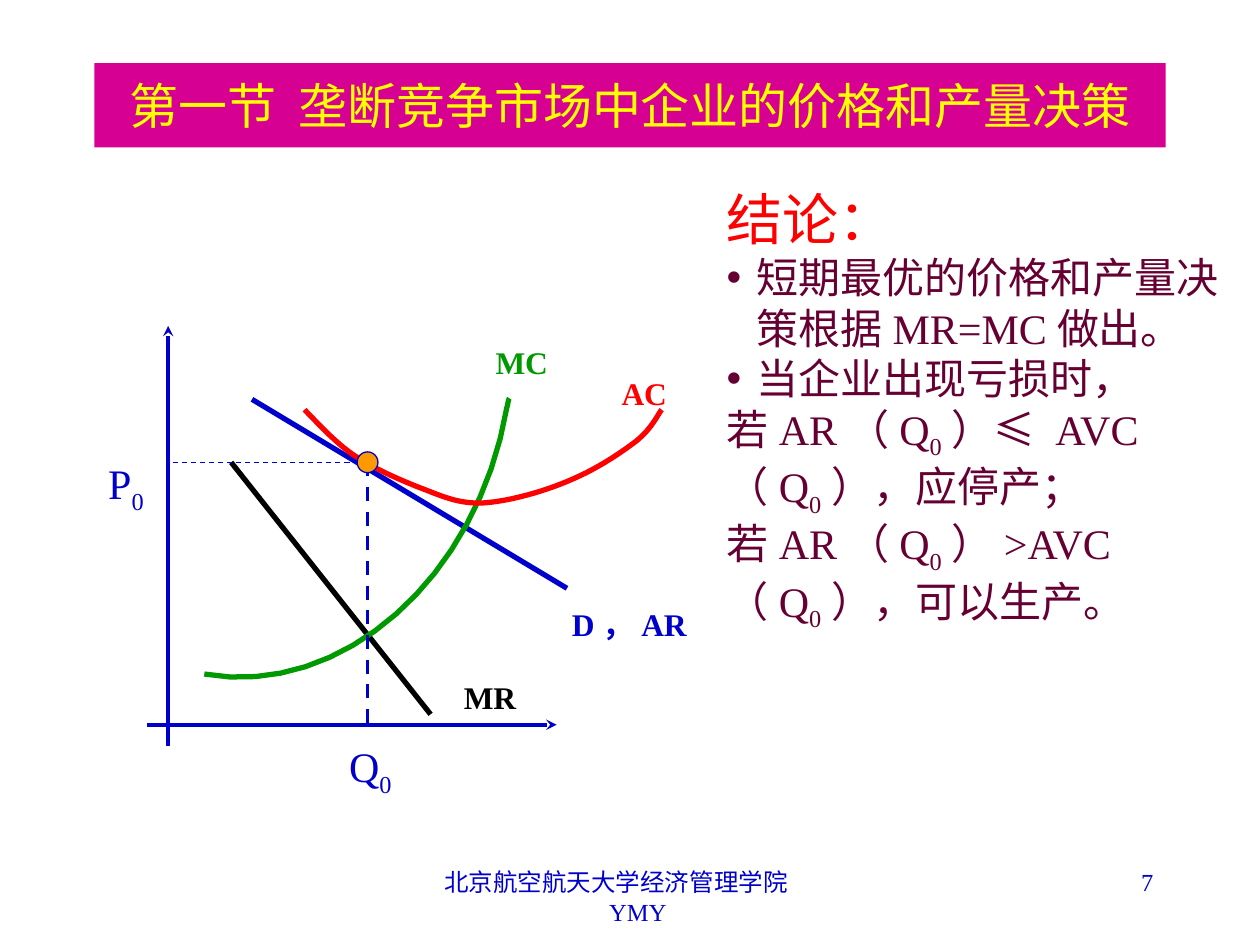
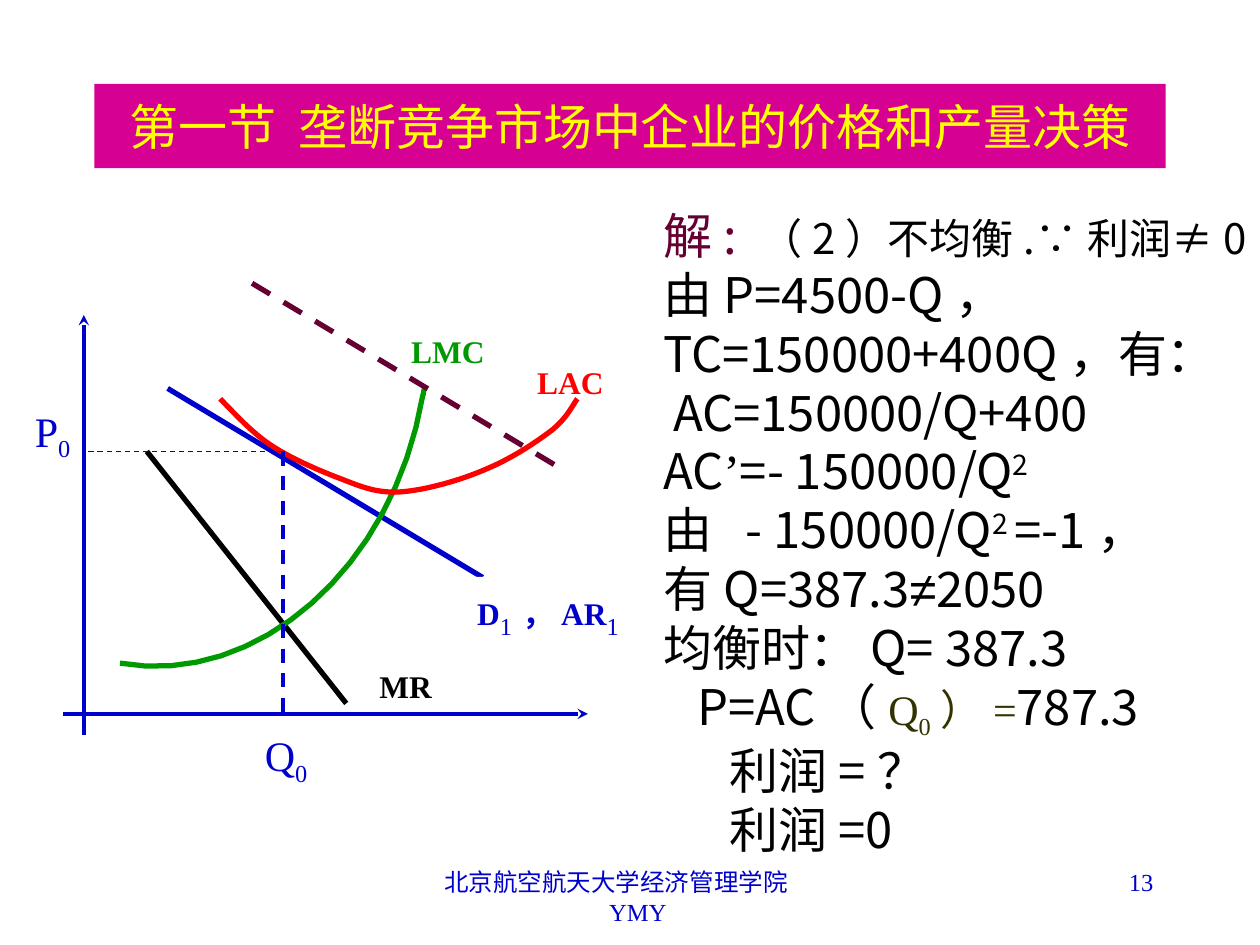
from dataclasses import dataclass

from lxml import etree
from pptx import Presentation
from pptx.dml.color import RGBColor
from pptx.enum.dml import MSO_LINE
from pptx.enum.shapes import MSO_CONNECTOR, MSO_SHAPE
from pptx.enum.text import MSO_ANCHOR, MSO_AUTO_SIZE, PP_ALIGN
from pptx.oxml.ns import qn
from pptx.util import Cm, Pt

LEFT, CENTER, RIGHT = PP_ALIGN.LEFT, PP_ALIGN.CENTER, PP_ALIGN.RIGHT
MIDDLE = MSO_ANCHOR.MIDDLE
NO_FIT = MSO_AUTO_SIZE.NONE
DASH = MSO_LINE.DASH
STRAIGHT = MSO_CONNECTOR.STRAIGHT
OVAL = MSO_SHAPE.OVAL
TITLE_ONLY = 5


@dataclass(frozen=True)
class Theme:
    serif: str = "Times New Roman"
    sans: str = "Noto Sans CJK SC"
    symbol: str = "Arial"
    band: str = "D60093"
    title: str = "FFFF00"
    blue: str = "0000CC"
    green: str = "009900"
    red: str = "FF0000"
    plum: str = "660033"
    olive: str = "333300"
    orange: str = "FF9900"
    black: str = "000000"
    white: str = "FFFFFF"
    footer_pt: int = 14
    label_pt: int = 18
    body_pt: int = 24
    title_pt: int = 28
    heading_pt: int = 32
    thin: float = 0.75
    medium: float = 2
    thick: float = 3


T = Theme()
SUB, SUP = -25, 30
TITLE = "第一节  垄断竞争市场中企业的价格和产量决策"

# Curves in cm from the crossing of the axes, height upwards:
# a start point, then three Bézier points for each segment.
MC_CURVE = [(6.88, 6.58), (6.85, 6.53), (6.85, 6.45), (6.83, 6.4),
            (6.24, 2.95), (3.5, 0.53), (0.73, 1.02)]
AC_CURVE = [(2.75, 6.35), (3.07, 6.02), (3.4, 5.66), (3.78, 5.41),
            (4.16, 5.16), (4.64, 4.95), (5.07, 4.78),
            (5.5, 4.62), (5.83, 4.45), (6.34, 4.47),
            (6.88, 4.5), (7.64, 4.72), (8.15, 4.95),
            (8.65, 5.16), (9.14, 5.49), (9.44, 5.72),
            (9.75, 5.97), (9.87, 6.25), (9.95, 6.35)]
OPTIMUM = (4.02, 5.29)


def rgb(color):
    return RGBColor.from_string(color)


def add_run(p, text, font=T.serif, size=T.body_pt, color=T.black, bold=False, base=0):
    """Add a run; base is the baseline shift in percent."""
    r = p.add_run()
    r.text = text
    r.font.name = font
    r.font.size = Pt(size)
    r.font.bold = bold
    r.font.color.rgb = rgb(color)
    rPr = r._r.get_or_add_rPr()
    if base:
        rPr.set("baseline", str(base * 1000))
    rPr.find(qn("a:latin")).addnext(
        etree.Element(qn("a:ea"), typeface=T.sans))


def add_paragraph(tf, runs, first=False, align=LEFT, indent=0, bullet=False, **fmt):
    """Add a paragraph of strings and (string, own format) pairs; indent in cm."""
    p = tf.paragraphs[0] if first else tf.add_paragraph()
    p.alignment = align
    pPr = p._p.get_or_add_pPr()
    if indent:
        pPr.set("marL", str(Cm(indent)))
    if bullet:
        pPr.set("indent", str(-Cm(indent)))
        etree.SubElement(pPr, qn("a:buFont"), typeface=T.symbol)
        etree.SubElement(pPr, qn("a:buChar"), char="•")
    for run in runs:
        text, own = (run, {}) if isinstance(run, str) else run
        add_run(p, text, **{**fmt, **own})


def add_box(s, x, y, w, h, wrap=True, fill=None):
    sp = s.shapes.add_textbox(Cm(x), Cm(y), Cm(w), Cm(h))
    sp.text_frame.word_wrap = wrap
    if fill:
        sp.fill.solid()
        sp.fill.fore_color.rgb = rgb(fill)
    return sp.text_frame


def add_title(s, y):
    sp = s.shapes.title
    sp.left, sp.top, sp.width, sp.height = Cm(1.9), Cm(y), Cm(21.6), Cm(1.7)
    sp.fill.solid()
    sp.fill.fore_color.rgb = rgb(T.band)
    tf = sp.text_frame
    tf.auto_size, tf.word_wrap, tf.vertical_anchor = NO_FIT, True, MIDDLE
    add_paragraph(tf, [TITLE], first=True, align=CENTER, size=T.title_pt, color=T.title)


def add_footer(s, number):
    fmt = dict(size=T.footer_pt, color=T.blue)
    tf = add_box(s, 8.4, 17.36, 8.04, 1.27)
    add_paragraph(tf, ["北京航空航天大学经济管理学院"], first=True, align=CENTER, **fmt)
    add_paragraph(tf, ["YMY"], align=CENTER, indent=0.88, **fmt)
    tf = add_box(s, 18.2, 17.36, 5.3, 1.27)
    add_paragraph(tf, [str(number)], first=True, align=RIGHT, **fmt)


@dataclass
class Diagram:
    """Drawing area whose points are cm from the crossing of the axes."""
    s: object
    x0: float
    y0: float

    def place(self, point):
        return Cm(self.x0 + point[0]), Cm(self.y0 - point[1])

    def line(self, start, end, color=T.blue, width=T.thick, dash=None, arrow=False):
        c = self.s.shapes.add_connector(STRAIGHT, *self.place(start), *self.place(end))
        c.line.color.rgb = rgb(color)
        c.line.width = Pt(width)
        if dash:
            c.line.dash_style = dash
        if arrow:
            etree.SubElement(c.line._get_or_add_ln(), qn("a:tailEnd"), type="stealth")
        etree.SubElement(c._element.spPr, qn("a:effectLst"))

    def curve(self, points, color):
        track = [self.place(p) for p in bezier_track(points)]
        builder = self.s.shapes.build_freeform(*track[0])
        builder.add_line_segments(track[1:], close=False)
        sp = builder.convert_to_shape()
        sp.shadow.inherit = False
        sp.fill.background()
        sp.line.color.rgb = rgb(color)
        sp.line.width = Pt(T.thick)

    def label(self, runs, point, w, h=1.02, fill=None, align=LEFT, **fmt):
        tf = add_box(self.s, self.x0 + point[0], self.y0 - point[1], w, h,
                     wrap=False, fill=fill)
        add_paragraph(tf, runs, first=True, align=align, **fmt)

    def dot(self, centre, size):
        x, y = self.place((centre[0] - size / 2, centre[1] + size / 2))
        sp = self.s.shapes.add_shape(OVAL, x, y, Cm(size), Cm(size))
        sp.shadow.inherit = False
        sp.fill.solid()
        sp.fill.fore_color.rgb = rgb(T.orange)
        sp.line.color.rgb = rgb(T.blue)
        sp.line.width = Pt(T.thin)


def bezier_track(points, steps=16):
    """Return points along the chained cubic curves."""
    track = [points[0]]
    for i in range(0, len(points) - 1, 3):
        a, b, c, d = points[i:i + 4]
        for n in range(1, steps + 1):
            t = n / steps
            u = 1 - t
            weights = (u ** 3, 3 * u * u * t, 3 * u * t * t, t ** 3)
            track.append(tuple(sum(w * p[k] for w, p in zip(weights, (a, b, c, d)))
                               for k in (0, 1)))
    return track


def add_market(s, x0, y0, x_axis, price_at, prefix=""):
    """Draw axes, curves and their labels; prefix marks the long-run costs."""
    d = Diagram(s, x0, y0)
    d.line((0, -0.42), (0, 8.04), width=T.medium, arrow=True)
    d.line((-0.42, 0), (x_axis, 0), width=T.medium, arrow=True)
    d.line((1.69, 6.56), (8.04, 2.75))
    d.line((1.27, 5.29), (5.29, 0.21), T.black)
    d.curve(MC_CURVE, T.green)
    d.curve(AC_CURVE, T.red)
    d.line(OPTIMUM, (OPTIMUM[0], 0), width=T.medium, dash=DASH)
    d.line(OPTIMUM, (0, OPTIMUM[1]), width=T.thin, dash=DASH)

    extra = 0.43 * len(prefix)
    name = dict(size=T.label_pt, bold=True)
    d.label(["MR"], (5.71, 1.06), 1.57, **name)
    d.label([prefix + "AC"], (8.89, 7.19), 1.42 + extra, color=T.red, **name)
    d.label([prefix + "MC"], (6.35, 7.82), 1.57 + extra, color=T.green, **name)
    zero = ("0", dict(base=SUB))
    d.label(["P", zero], price_at, 1.22, 1.42, align=CENTER, color=T.blue)
    d.label(["Q", zero], (3.4, -0.2), 1.37, 1.42, color=T.blue)
    return d


def add_conclusion(s):
    tf = add_box(s, 14.4, 3.6, 11, 10.31)
    body = dict(color=T.plum)
    zero = ("0", dict(base=SUB))
    add_paragraph(tf, ["结论："], first=True, size=T.heading_pt, color=T.red)
    for point in ("短期最优的价格和产量决策根据MR=MC做出。", "当企业出现亏损时，"):
        add_paragraph(tf, [point], indent=0.6, bullet=True, **body)
    add_paragraph(tf, ["若AR（Q", zero, "）", ("≤ ", dict(font=T.symbol)),
                       "AVC （Q", zero, "），应停产；"], **body)
    add_paragraph(tf, ["若AR（Q", zero, "）>AVC （Q", zero, "），可以生产。"], **body)


def add_solution(s):
    tf = add_box(s, 13.12, 4.02, 12.28, 13.12, fill=T.white)
    tf.margin_right = 0
    olive = dict(font=T.serif, size=T.body_pt, color=T.olive)
    lines = [
        (0, [("解: ", dict(color=T.plum)),
             ("（2）不均衡.∵利润≠0", dict(size=T.body_pt))]),
        (0, ["由P=4500-Q，"]),
        (0, ["TC=150000+400Q，有："]),
        (0.2, ["AC=150000/Q+400"]),
        (0, ["AC", ("’", dict(font=T.serif)), "=- 150000/Q", ("2", dict(base=SUP))]),
        (0, ["由  - 150000/Q", ("2 ", dict(base=SUP)), "=-1，"]),
        (0, ["有Q=387.3", ("≠", dict(font=T.symbol)), "2050"]),
        (0, ["均衡时：Q= 387.3"]),
        (0.69, ["P=AC（", ("Q", olive), ("0", {**olive, "base": SUB}),
                ("）=", olive), "787.3"]),
        (1.33, ["利润=？"]),
        (1.33, ["利润=0"]),
    ]
    for n, (indent, runs) in enumerate(lines):
        add_paragraph(tf, runs, first=n == 0, indent=indent,
                      font=T.sans, size=T.title_pt)


def add_slide(prs, number, title_y):
    s = prs.slides.add_slide(prs.slide_layouts[TITLE_ONLY])
    add_title(s, title_y)
    add_footer(s, number)
    return s


def main():
    prs = Presentation()
    prs.slide_width, prs.slide_height = Cm(25.4), Cm(19.05)
    name = dict(size=T.label_pt, color=T.blue, bold=True)

    s = add_slide(prs, 7, 1.27)
    d = add_market(s, 3.39, 14.61, x_axis=7.83, price_at=(-1.46, 5.51))
    d.label(["D，AR"], (7.89, 2.54), 2.82, **name)
    d.dot(OPTIMUM, 0.42)
    add_conclusion(s)

    s = add_slide(prs, 13, 1.69)
    d = add_market(s, 1.69, 14.39, x_axis=10.16, price_at=(-1.24, 6.35), prefix="L")
    one = ("1", dict(size=T.body_pt, bold=False, base=SUB))
    d.label(["D", one, "，AR", one], (7.68, 2.76), 3.39, 1.42, fill=T.white, **name)
    add_solution(s)
    d.line((3.39, 8.68), (9.74, 4.87), T.plum, dash=DASH)

    prs.save("out.pptx")


if __name__ == "__main__":
    main()
